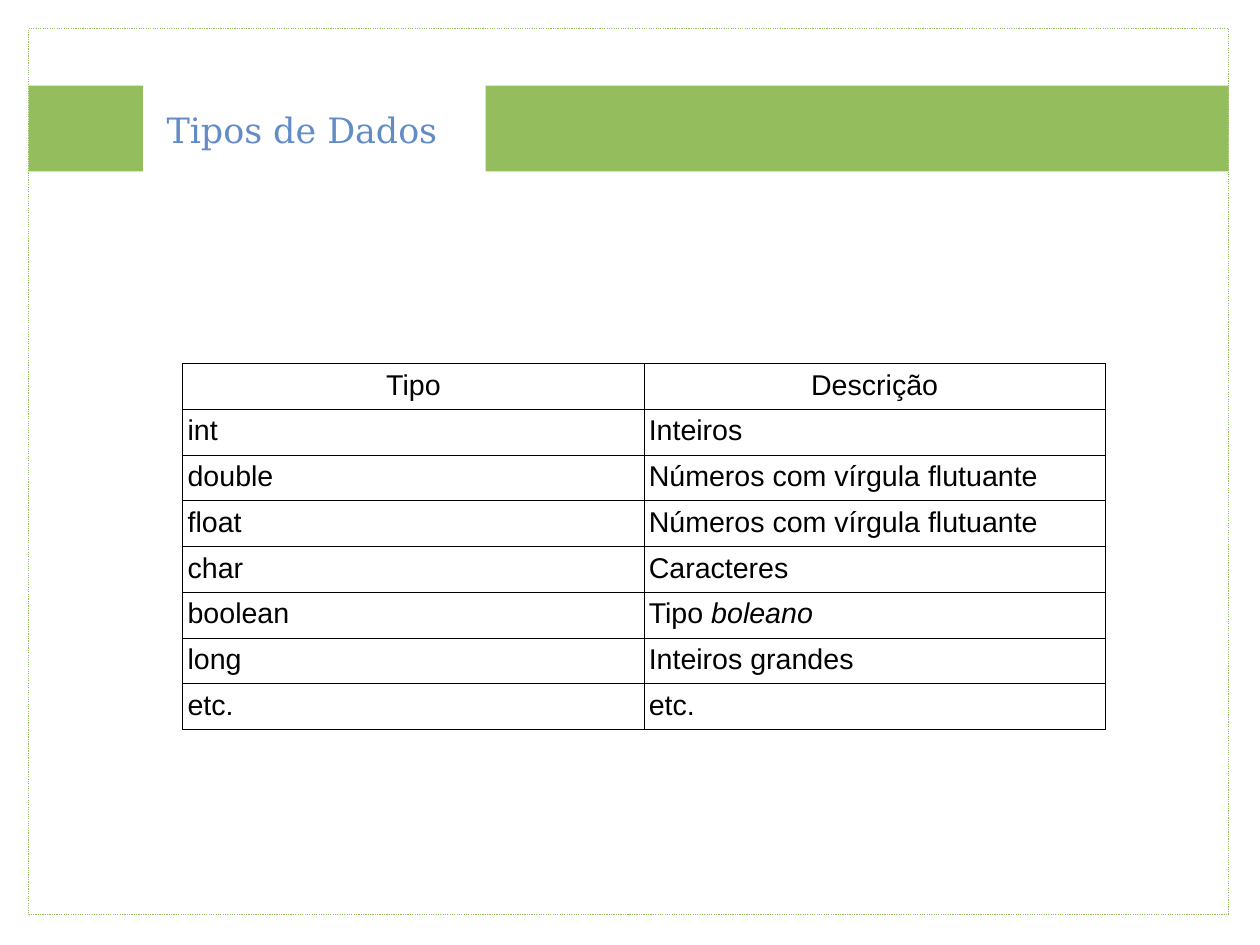
from dataclasses import dataclass

from lxml import etree
from pptx import Presentation
from pptx.dml.color import RGBColor
from pptx.enum.dml import MSO_LINE
from pptx.enum.shapes import MSO_SHAPE
from pptx.enum.text import MSO_AUTO_SIZE, PP_ALIGN
from pptx.oxml.ns import qn
from pptx.util import Pt

RECTANGLE = MSO_SHAPE.RECTANGLE
FINE_DOTS = MSO_LINE.ROUND_DOT
FIT_SHAPE = MSO_AUTO_SIZE.SHAPE_TO_FIT_TEXT
CENTER, LEFT = PP_ALIGN.CENTER, PP_ALIGN.LEFT
BLANK_LAYOUT = 6


@dataclass(frozen=True)
class Theme:
    green: RGBColor = RGBColor(0x94, 0xBD, 0x5E)
    title_blue: RGBColor = RGBColor(0x62, 0x8C, 0xC6)
    black: RGBColor = RGBColor(0, 0, 0)
    title_font: str = "DejaVu Serif"
    title_size: float = 22
    table_font: str = "Arial"
    table_size: float = 18
    grid_width: float = 0.57


THEME = Theme()
SLIDE_WIDTH, SLIDE_HEIGHT = 793.7, 595.28
FRAME_BOX = (18, 18, 756, 558)
HEADER_BOX = (18, 54, 756, 54)
TABLE_BOX = (115.2, 228.96, 581.04, 220.32)

HEADINGS = ("Tipo", "Descrição")
# Each description is its plain part followed by an optional italic part.
DATA_TYPES = (
    ("int", "Inteiros", ""),
    ("double", "Números com vírgula flutuante", ""),
    ("float", "Números com vírgula flutuante", ""),
    ("char", "Caracteres", ""),
    ("boolean", "Tipo ", "boleano"),
    ("long", "Inteiros grandes", ""),
    ("etc.", "etc.", ""),
)


def points(*lengths):
    return [Pt(length) for length in lengths]


def style_font(font, name, size, color):
    font.name = name
    font.size = Pt(size)
    font.color.rgb = color


def add_frame(slide, box):
    frame = slide.shapes.add_shape(RECTANGLE, *points(*box))
    frame.shadow.inherit = False
    frame.fill.background()
    frame.line.color.rgb = THEME.green
    frame.line.width = Pt(0)
    frame.line.dash_style = FINE_DOTS


def add_band(slide, box):
    band = slide.shapes.add_shape(RECTANGLE, *points(*box))
    band.shadow.inherit = False
    band.fill.solid()
    band.fill.fore_color.rgb = THEME.green
    band.line.fill.background()


def add_header(slide, box, title):
    """Place the title in the gap between a short and a long band."""
    left, top, width, height = box
    short_width, long_offset = 72, 288
    add_band(slide, (left, top, short_width, height))
    add_band(slide, (left + long_offset, top, width - long_offset, height))

    title_box = slide.shapes.add_textbox(
        *points(left + short_width + 7.92, top + 10.8, 185.04, 32.4))
    frame = title_box.text_frame
    frame.word_wrap = False
    frame.auto_size = FIT_SHAPE
    frame.text = title
    style_font(frame.paragraphs[0].runs[0].font,
               THEME.title_font, THEME.title_size, THEME.title_blue)


def set_borders(cell):
    properties = cell._tc.get_or_add_tcPr()
    for position, side in enumerate(("a:lnL", "a:lnR", "a:lnT", "a:lnB")):
        border = etree.Element(qn(side), w=str(Pt(THEME.grid_width)))
        fill = etree.SubElement(border, qn("a:solidFill"))
        etree.SubElement(fill, qn("a:srgbClr"), val=str(THEME.black))
        properties.insert(position, border)


def fill_cell(cell, text, italic_text="", alignment=LEFT):
    cell.margin_left = cell.margin_right = Pt(3)
    cell.margin_top = cell.margin_bottom = Pt(3.6)
    cell.fill.background()
    set_borders(cell)
    paragraph = cell.text_frame.paragraphs[0]
    paragraph.text = text
    paragraph.alignment = alignment
    if italic_text:
        emphasis = paragraph.add_run()
        emphasis.text = italic_text
        emphasis.font.italic = True
    for run in paragraph.runs:
        style_font(run.font, THEME.table_font, THEME.table_size, THEME.black)


def add_type_table(slide, box, headings, data_types):
    row_count = len(data_types) + 1
    table = slide.shapes.add_table(
        row_count, len(headings), *points(*box)).table
    table.first_row = table.horz_banding = False
    for column in table.columns:
        column.width = Pt(box[2] / len(headings))
    for row in table.rows:
        row.height = Pt(box[3] / row_count)

    for column_index, heading in enumerate(headings):
        fill_cell(table.cell(0, column_index), heading, alignment=CENTER)
    for row_index, (name, description, emphasis) in enumerate(data_types, 1):
        fill_cell(table.cell(row_index, 0), name)
        fill_cell(table.cell(row_index, 1), description, emphasis)


def main():
    presentation = Presentation()
    presentation.slide_width = Pt(SLIDE_WIDTH)
    presentation.slide_height = Pt(SLIDE_HEIGHT)
    slide = presentation.slides.add_slide(
        presentation.slide_layouts[BLANK_LAYOUT])
    add_frame(slide, FRAME_BOX)
    add_header(slide, HEADER_BOX, "Tipos de Dados")
    add_type_table(slide, TABLE_BOX, HEADINGS, DATA_TYPES)
    presentation.save("out.pptx")


if __name__ == "__main__":
    main()
